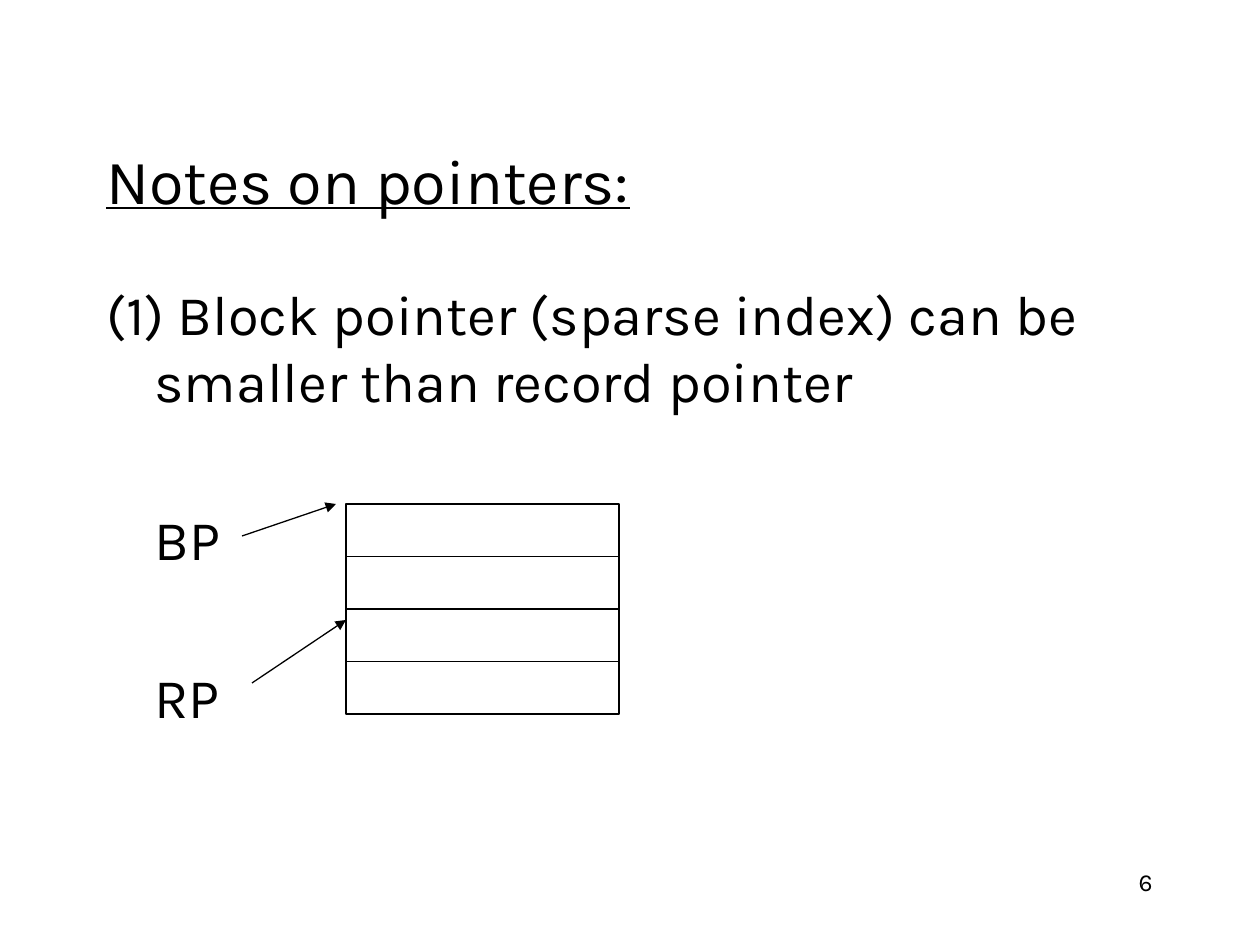
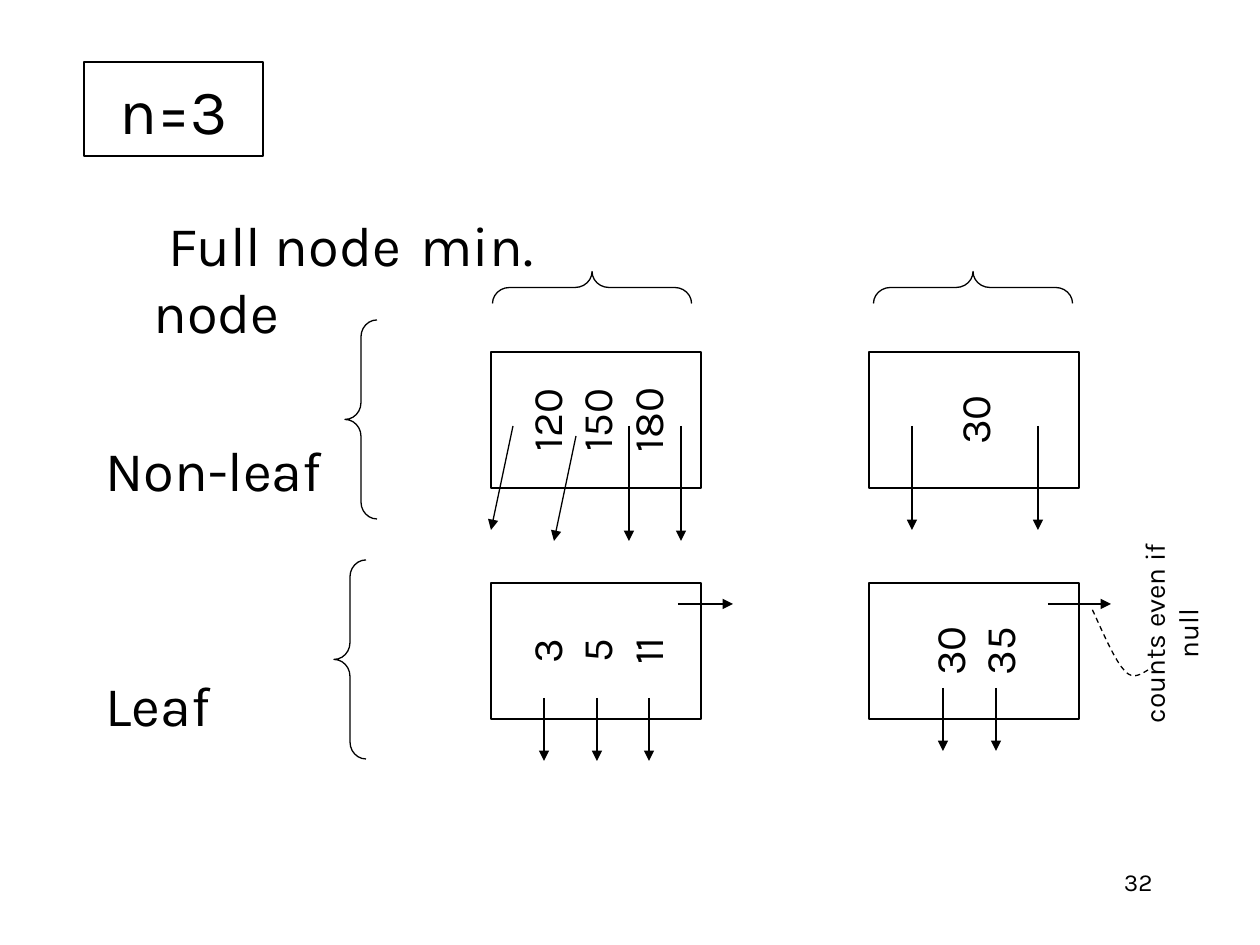
from dataclasses import dataclass

from pptx import Presentation
from pptx.dml.color import RGBColor
from pptx.enum.dml import MSO_LINE
from pptx.enum.shapes import MSO_CONNECTOR, MSO_SHAPE
from pptx.enum.text import MSO_ANCHOR, PP_ALIGN
from pptx.oxml.ns import qn
from pptx.util import Emu, Pt
from lxml.etree import SubElement


@dataclass(frozen=True)
class Theme:
    ink: RGBColor = RGBColor(0, 0, 0)
    paper: RGBColor = RGBColor(255, 255, 255)
    font: str = "Karla"
    line: float = 0.75
    title: int = 36
    body: int = 32
    key: int = 24
    remark: int = 16
    number: int = 14


theme = Theme()
SCALE = 914400 / 126  # EMU in one px


def px(length):
    return Emu(round(length * SCALE))


def write(frame, lines, size, align=PP_ALIGN.LEFT, anchor=MSO_ANCHOR.TOP):
    """Fill a text frame with one paragraph per line and return the paragraphs."""
    frame.vertical_anchor = anchor
    paras = []
    for index, line in enumerate(lines):
        para = frame.add_paragraph() if index else frame.paragraphs[0]
        para.alignment = align
        span = para.add_run()
        span.text = line
        span.font.name = theme.font
        span.font.size = Pt(size)
        span.font.color.rgb = theme.ink
        paras.append(para)
    return paras


deck = Presentation()
deck.slide_width, deck.slide_height = px(1260), px(945)
pointers, nodes = [deck.slides.add_slide(deck.slide_layouts[6]) for _ in range(2)]

# Page numbers
for page, number in ((pointers, "6"), (nodes, "32")):
    box = page.shapes.add_textbox(px(903), px(861), px(262), px(63))
    box.text_frame.word_wrap = True
    write(box.text_frame, [number], theme.number, PP_ALIGN.RIGHT)

# Title of the first slide
box = pointers.shapes.add_textbox(px(94), px(116), px(1071), px(126))
box.text_frame.word_wrap = True
title = write(box.text_frame, ["Notes on pointers:"], theme.title, anchor=MSO_ANCHOR.MIDDLE)[0]
title.runs[0].font.underline = True

# Body text: (line, left margin px, first-line indent px, space before pt)
HANG = 48
TAB_STOPS = (426, 804)
bodies = (
    (pointers, 94, 273, (
        ("(1) Block pointer (sparse index) can be smaller than record pointer", HANG, -HANG, 6),
        ("BP", HANG, 0, 52),
        ("RP", HANG, 0, 52),
    )),
    (nodes, 93, 204, (
        ("\tFull node\tmin.", 0, 0, 6),
        ("node", HANG, 0, 0),
        ("Non-leaf", 0, 0, 52),
        ("Leaf", 0, 0, 96),
    )),
)
for page, left, top, lines in bodies:
    box = page.shapes.add_textbox(px(left), px(top), px(1071), px(567))
    box.text_frame.word_wrap = True
    paras = write(box.text_frame, [line[0] for line in lines], theme.body)
    for para, (text, margin, indent, before) in zip(paras, lines):
        para.space_before = Pt(before)
        properties = para._p.get_or_add_pPr()
        properties.set("marL", str(px(margin)))
        properties.set("indent", str(px(indent)))
        if "\t" in text:
            tabs = SubElement(properties, qn("a:tabLst"))
            for stop in TAB_STOPS:
                SubElement(tabs, qn("a:tab"), pos=str(px(stop)), algn="l")

# Rectangles: (page, left, top, width, height, rotation, lines, size)
RECORD_HEIGHT = 52.5
records = [
    (pointers, 346, 504 + row * RECORD_HEIGHT, 273, RECORD_HEIGHT, 0, (), theme.key)
    for row in range(4)
]
tree_nodes = [
    (nodes, left, top, 136, 210, 270, keys, theme.key)
    for left, top, keys in (
        (528, 315, ("120", "150", "180")),
        (906, 315, ("30",)),
        (528, 546, ("3", "5", "11")),
        (906, 546, ("30", "35")),
    )
]
order = (nodes, 84, 62, 179, 94, 0, ("n=3",), theme.title)
for page, left, top, width, height, rotation, lines, size in [*records, order, *tree_nodes]:
    box = page.shapes.add_shape(MSO_SHAPE.RECTANGLE, px(left), px(top), px(width), px(height))
    box.rotation = rotation
    box.shadow.inherit = False
    box.fill.solid()
    box.fill.fore_color.rgb = theme.paper
    box.line.color.rgb = theme.ink
    box.line.width = Pt(theme.line)
    box.text_frame.word_wrap = False
    write(box.text_frame, lines, size, PP_ALIGN.CENTER, MSO_ANCHOR.MIDDLE)

# Braces beside the row labels and below the column labels
for left, top, rotation in ((345, 320, 0), (334, 560, 0), (576, 188, 90), (957, 188, 90)):
    brace = nodes.shapes.add_shape(MSO_SHAPE.LEFT_BRACE, px(left), px(top), px(32), px(199))
    brace.rotation = rotation
    brace.adjustments[0] = 0.528
    brace.shadow.inherit = False
    brace.fill.background()
    brace.line.color.rgb = theme.ink
    brace.line.width = Pt(theme.line)

# Pointer arrows: (page, from x, from y, to x, to y)
arrows = [
    (pointers, 252, 683, 346, 620),
    (pointers, 242, 536, 336, 504),
    (nodes, 513, 426, 491, 530),
    (nodes, 576, 436, 554, 541),
    (nodes, 678, 604, 733, 604),
    (nodes, 1048, 604, 1111, 604),
]
for columns, start, end in (
    ((629, 681), 426, 541),
    ((912, 1038), 426, 530),
    ((544, 597, 649), 698, 761),
    ((943, 996), 688, 751),
):
    arrows += [(nodes, column, start, column, end) for column in columns]
for page, *ends in arrows:
    arrow = page.shapes.add_connector(MSO_CONNECTOR.STRAIGHT, *map(px, ends))
    arrow.line.color.rgb = theme.ink
    arrow.line.width = Pt(theme.line)
    SubElement(arrow.line._get_or_add_ln(), qn("a:tailEnd"), type="triangle")
    SubElement(arrow._element.spPr, qn("a:effectLst"))

# Remark on the last pointer, with its dashed curve
box = nodes.shapes.add_textbox(px(1045), px(610), px(251), px(47))
box.rotation = 270
box.text_frame.word_wrap = True
write(box.text_frame, ["counts even if null"], theme.remark, PP_ALIGN.CENTER, MSO_ANCHOR.MIDDLE)

STEPS = 10
bends = (
    ((1148, 670), (1140, 675), (1132, 680), (1124, 670)),
    ((1124, 670), (1114, 660), (1097, 619), (1092, 609)),
)
points = []
for bend in bends:
    for step in range(1, STEPS + 1):
        t = step / STEPS
        weights = ((1 - t) ** 3, 3 * t * (1 - t) ** 2, 3 * t ** 2 * (1 - t), t ** 3)
        points.append([sum(w * point[axis] for w, point in zip(weights, bend)) for axis in (0, 1)])
outline = nodes.shapes.build_freeform(*map(px, bends[0][0]))
outline.add_line_segments([(px(x), px(y)) for x, y in points], close=False)
curve = outline.convert_to_shape()
curve.shadow.inherit = False
curve.fill.background()
curve.line.color.rgb = theme.ink
curve.line.width = Pt(theme.line)
curve.line.dash_style = MSO_LINE.DASH

deck.save("out.pptx")
